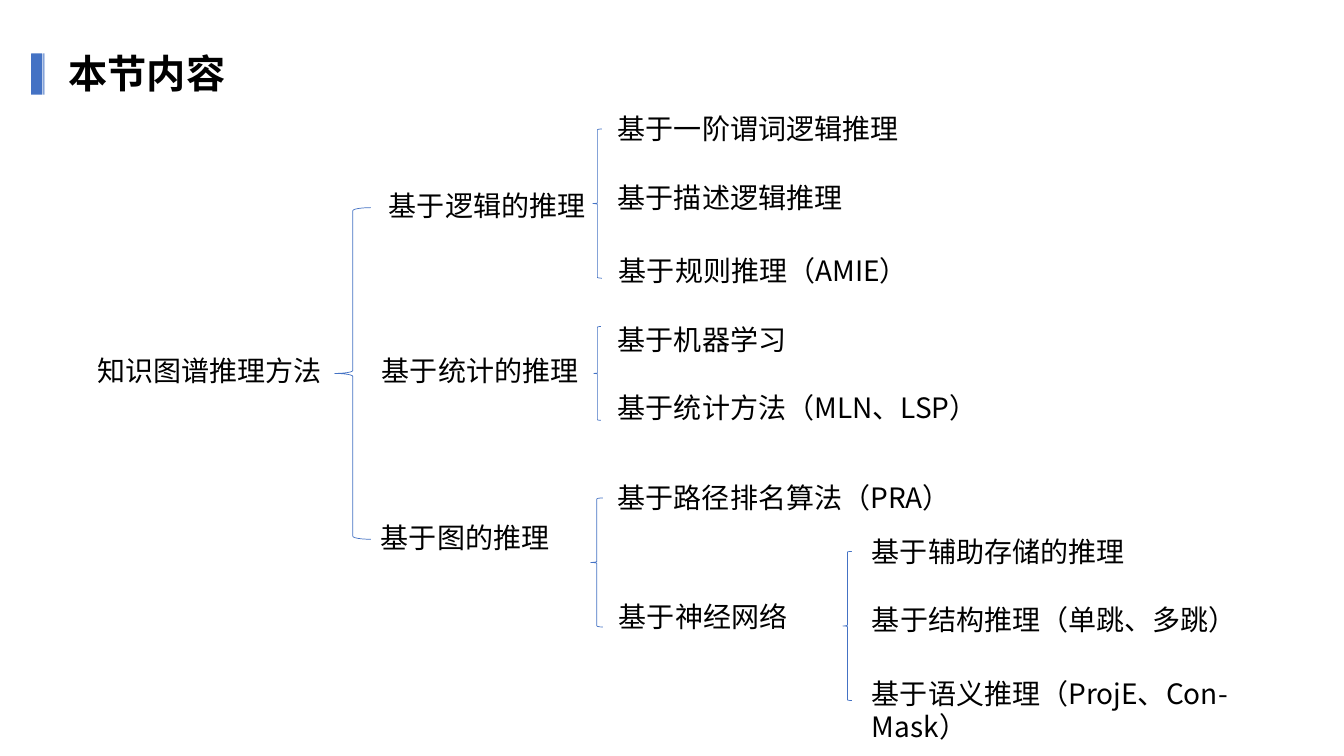
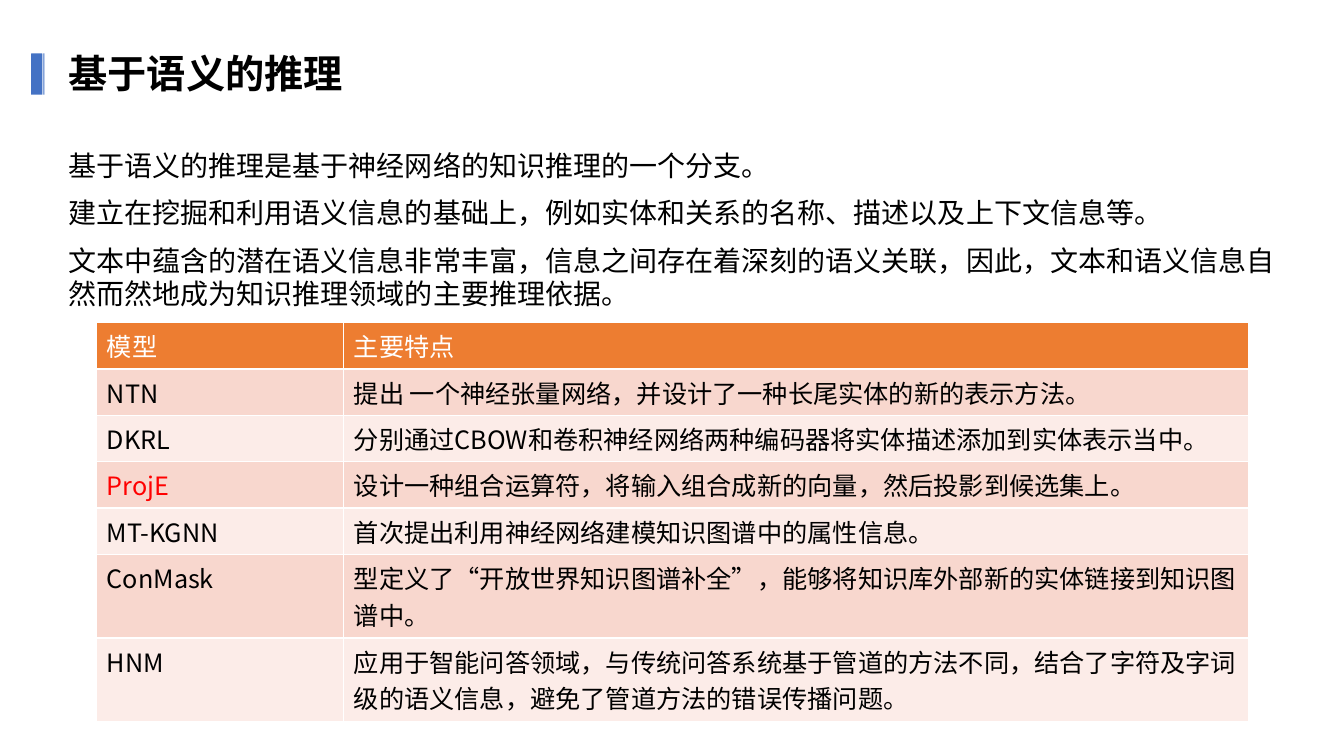
"""Build two slides on knowledge graph reasoning methods."""
from lxml import etree
from pptx import Presentation
from pptx import util as u
from pptx.dml.color import RGBColor
from pptx.enum import shapes, text
from pptx.oxml.ns import qn

FONT = "Noto Sans CJK SC"
BLACK = RGBColor(0, 0, 0)
WHITE = RGBColor(255, 255, 255)
RED = RGBColor(255, 0, 0)
BLUE = RGBColor(0x44, 0x72, 0xC4)
HEAD = RGBColor(0xED, 0x7D, 0x31)
BANDS = RGBColor(0xF8, 0xD7, 0xCE), RGBColor(0xFC, 0xEC, 0xE8)

BARS = [(0.31, 0.11), (0.43, 0.01)]
NODES = [
    ("知识图谱推理方法", 0.87, 3.46, 2.45),
    ("基于逻辑的推理", 3.76, 1.82, 2.17),
    ("基于统计的推理", 3.69, 3.46, 2.17),
    ("基于图的推理", 3.68, 5.11, 1.88),
    ("基于一阶谓词逻辑推理", 6.03, 1.06, 3.01),
    ("基于描述逻辑推理", 6.03, 1.74, 2.45),
    ("基于规则推理（AMIE）", 6.04, 2.47, 3.15),
    ("基于机器学习", 6.03, 3.15, 1.88),
    ("基于统计方法（MLN、LSP）", 6.03, 3.83, 3.79),
    ("基于路径排名算法（PRA）", 6.03, 4.72, 3.53),
    ("基于神经网络", 6.04, 5.9, 1.88),
    ("基于辅助存储的推理", 8.55, 5.25, 2.73),
    ("基于结构推理（单跳、多跳）", 8.55, 5.93, 3.85),
    ("基于语义推理（ProjE、Con-Mask）", 8.55, 6.66, 4.5),
]
BRACES = [
    (3.32, 2.06, 0.36, 3.29),
    (5.88, 1.28, 0.09, 1.48),
    (5.89, 3.24, 0.07, 0.93),
    (5.86, 4.94, 0.12, 1.28),
    (8.36, 5.47, 0.09, 1.48),
]
INTRO = [
    "基于语义的推理是基于神经网络的知识推理的一个分支。",
    "建立在挖掘和利用语义信息的基础上，例如实体和关系的名称、描述以及上下文信息等。",
    "文本中蕴含的潜在语义信息非常丰富，信息之间存在着深刻的语义关联，因此，"
    "文本和语义信息自然而然地成为知识推理领域的主要推理依据。",
]
MODELS = [
    ("模型", "主要特点"),
    ("NTN", "提出 一个神经张量网络，并设计了一种长尾实体的新的表示方法。"),
    ("DKRL", "分别通过CBOW和卷积神经网络两种编码器将实体描述添加到实体表示当中。"),
    ("ProjE", "设计一种组合运算符，将输入组合成新的向量，然后投影到候选集上。"),
    ("MT-KGNN", "首次提出利用神经网络建模知识图谱中的属性信息。"),
    ("ConMask", "型定义了“开放世界知识图谱补全”，能够将知识库外部新的实体链接到知识图谱中。"),
    ("HNM", "应用于智能问答领域，与传统问答系统基于管道的方法不同，"
            "结合了字符及字词级的语义信息，避免了管道方法的错误传播问题。"),
]
COLS = 2.45, 8.97
ROWS = [0.46] * 5 + [0.83] * 2


def inch(*nums):
    return [u.Inches(n) for n in nums]


def write(para, words, size, color=BLACK, bold=False):
    run = para.add_run()
    run.text = words
    font = run.font
    font.size, font.bold, font.name = u.Pt(size), bold, FONT
    font.color.rgb = color
    east = etree.SubElement(font._element, qn("a:ea"))
    east.set("typeface", FONT)
    para.alignment = text.PP_ALIGN.LEFT


def shape(slide, kind, box):
    item = slide.shapes.add_shape(kind, *inch(*box))
    item.shadow.inherit = False
    return item


def start(deck, title):
    slide = deck.slides.add_slide(deck.slide_layouts[5])
    head = slide.shapes.title
    head.left, head.top, head.width, head.height = inch(0.58, 0.52, 9.02, 0.46)
    frame = head.text_frame
    frame.vertical_anchor = text.MSO_ANCHOR.MIDDLE
    frame.auto_size = text.MSO_AUTO_SIZE.NONE
    para = frame.paragraphs[0]
    para.line_spacing = 0.9
    write(para, title, 28, bold=True)
    for left, wide in BARS:
        bar = shape(slide, shapes.MSO_SHAPE.ROUNDED_RECTANGLE,
                    (left, 0.53, wide, 0.41))
        bar.adjustments[0] = 0.02
        bar.fill.solid()
        bar.fill.fore_color.rgb = BLUE
        bar.line.fill.background()
    return slide


def outline(deck):
    slide = start(deck, "本节内容")
    for box in BRACES:
        brace = shape(slide, shapes.MSO_SHAPE.LEFT_BRACE, box)
        brace.fill.background()
        brace.line.color.rgb = BLUE
        brace.line.width = u.Pt(0.5)
    for words, left, top, wide in NODES:
        box = slide.shapes.add_textbox(*inch(left, top, wide, 0.44))
        frame = box.text_frame
        frame.word_wrap = False
        frame.auto_size = text.MSO_AUTO_SIZE.SHAPE_TO_FIT_TEXT
        write(frame.paragraphs[0], words, 20)


def semantic(deck):
    slide = start(deck, "基于语义的推理")
    frame = slide.shapes.add_textbox(*inch(0.58, 1.42, 12.4, 1.75)).text_frame
    frame.word_wrap = True
    for num, words in enumerate(INTRO):
        para = frame.add_paragraph() if num else frame.paragraphs[0]
        if num:
            para.space_before = u.Pt(10)
        write(para, words, 20)
    size = inch(0.96, 3.2, sum(COLS), sum(ROWS))
    table = slide.shapes.add_table(len(MODELS), len(COLS), *size).table
    for col, wide in zip(table.columns, COLS):
        col.width = u.Inches(wide)
    for num, (row, tall) in enumerate(zip(MODELS, ROWS)):
        table.rows[num].height = u.Inches(tall)
        for col, words in enumerate(row):
            cell = table.cell(num, col)
            cell.fill.solid()
            cell.fill.fore_color.rgb = BANDS[(num - 1) % 2] if num else HEAD
            ink = BLACK if num else WHITE
            if words == "ProjE":
                ink = RED
            write(cell.text_frame.paragraphs[0], words, 18, ink)


def main():
    deck = Presentation()
    deck.slide_width, deck.slide_height = inch(13.33, 7.5)
    outline(deck)
    semantic(deck)
    deck.save("out.pptx")


if __name__ == "__main__":
    main()
